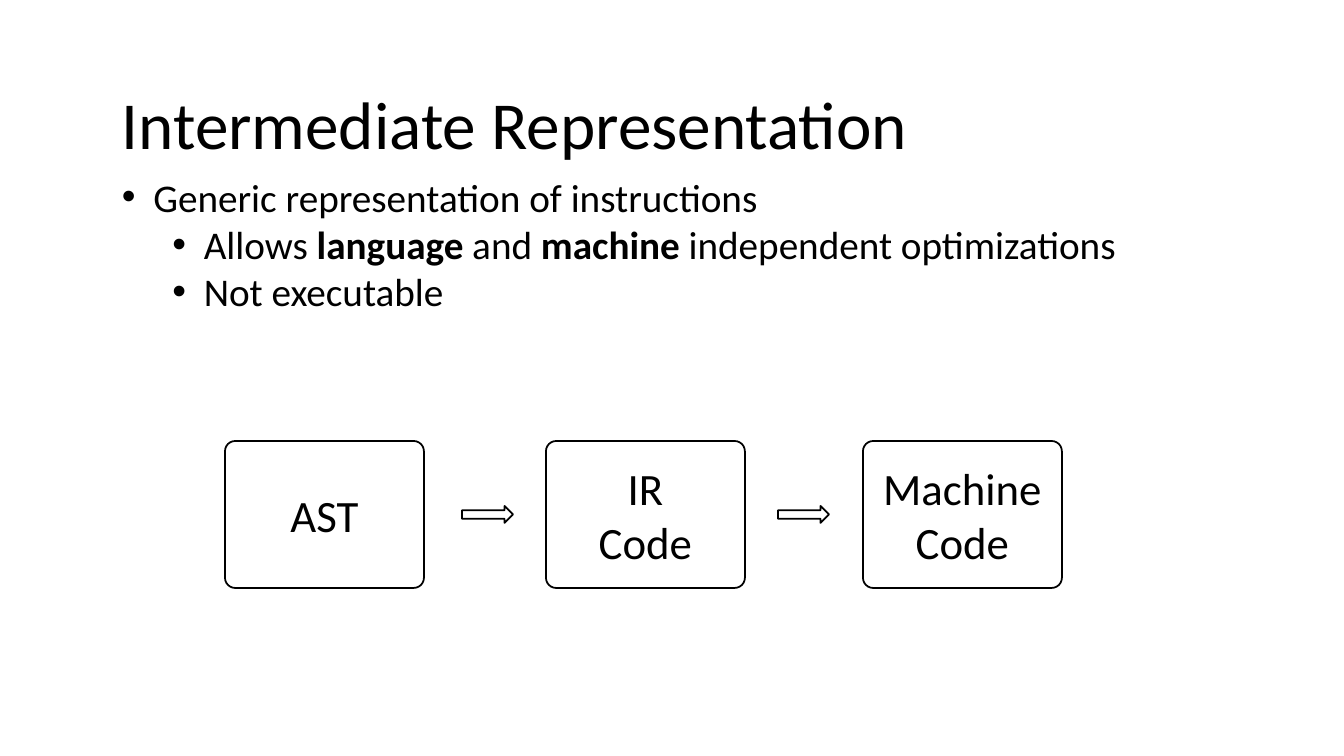
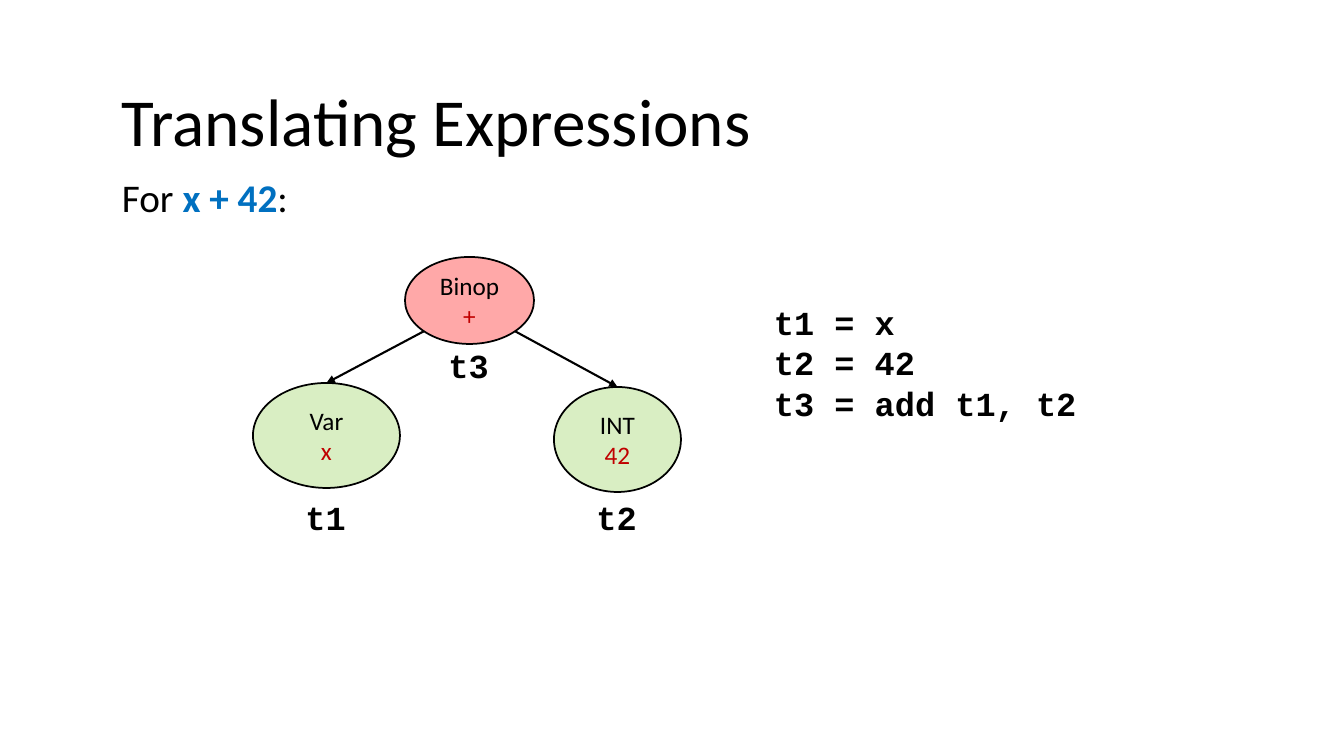
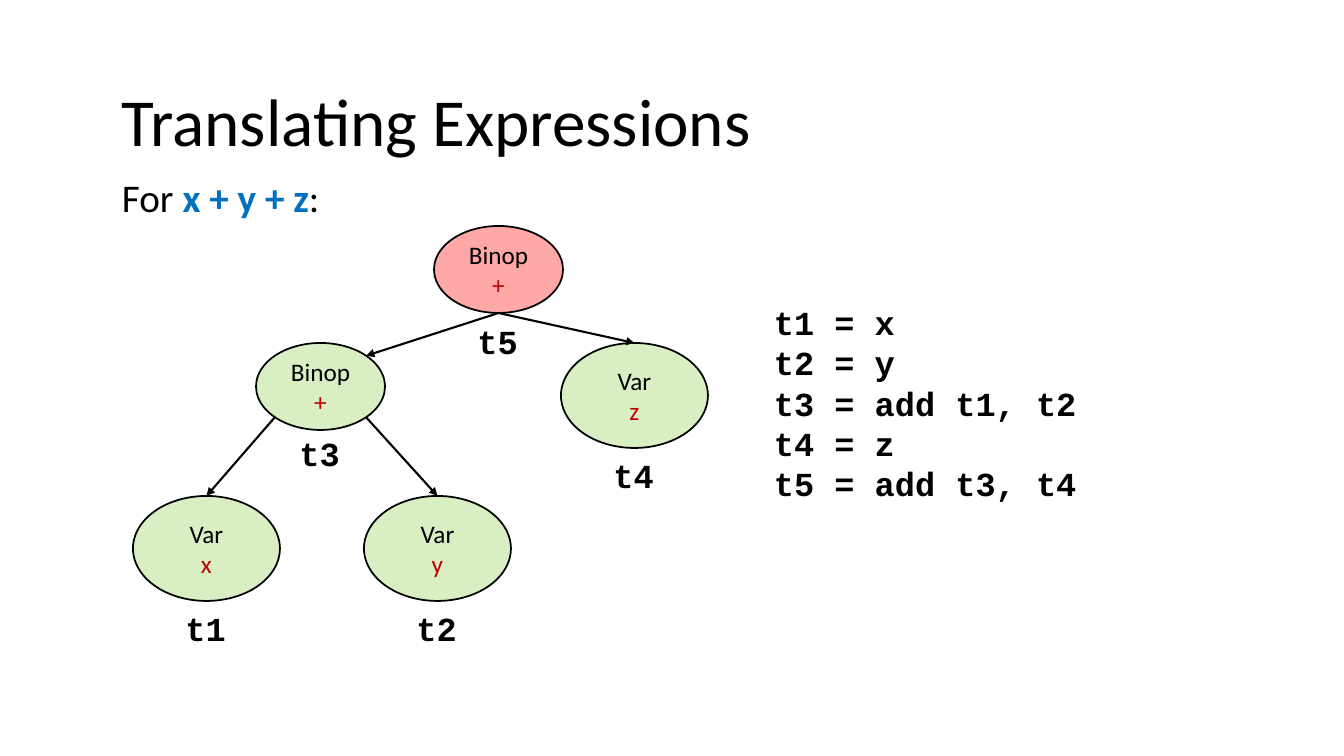
from math import cos, radians, sin

from pptx import Presentation
from pptx.dml.color import RGBColor
from pptx.enum.shapes import MSO_CONNECTOR, MSO_SHAPE
from pptx.enum.text import MSO_ANCHOR, MSO_AUTO_SIZE, PP_ALIGN
from pptx.oxml.ns import qn
from pptx.util import Emu, Pt
from lxml.etree import SubElement

BLACK = RGBColor(0x00, 0x00, 0x00)
WHITE = RGBColor(0xFF, 0xFF, 0xFF)
RED = RGBColor(0xFF, 0x00, 0x00)
GREEN = RGBColor(0x92, 0xD0, 0x50)
BLUE = RGBColor(0x00, 0x70, 0xC0)
DARK_RED = RGBColor(0xC0, 0x00, 0x00)

# Text formats
TITLE = {"name": "Calibri", "size": Pt(48)}
BODY = {"name": "Calibri", "size": Pt(28)}
STAGE = {"name": "Calibri", "size": Pt(32)}
NODE = {"name": "Calibri", "size": Pt(18)}
CODE = {"name": "Courier New", "size": Pt(24), "bold": True}
STRONG = {"bold": True}

# Places on an ellipse, as clockwise angles from its right side
BOTTOM_RIGHT, BOTTOM, BOTTOM_LEFT, TOP, TOP_RIGHT = 45, 90, 135, 270, 315


def px(length):
    return Emu(round(length * 914400 / 100.8))


def rim(node, angle):
    left, top, width, height = node
    return (left + width / 2 * (1 + cos(radians(angle))),
            top + height / 2 * (1 + sin(radians(angle))))


class Deck:
    def __init__(self):
        self.prs = Presentation()
        self.prs.slide_width, self.prs.slide_height = px(1344), px(756)
        self.slide = None

    def new_slide(self, title, title_top):
        self.slide = self.prs.slides.add_slide(self.prs.slide_layouts[6])
        self.text((112, title_top, 1118, 92), [title], TITLE)

    def set_text(self, frame, paragraphs, style, align=PP_ALIGN.LEFT):
        """Each paragraph is a string or a list of (text, format) runs."""
        frame.word_wrap = True
        for index, runs in enumerate(paragraphs):
            line = frame.add_paragraph() if index else frame.paragraphs[0]
            line.alignment = align
            for words, extra in [(runs, {})] if isinstance(runs, str) else runs:
                run = line.add_run()
                run.text = words
                values = {**style, **extra}
                run.font.color.rgb = values.pop("color", BLACK)
                for key, value in values.items():
                    setattr(run.font, key, value)

    def text(self, box, paragraphs, style):
        frame = self.slide.shapes.add_textbox(*map(px, box)).text_frame
        self.set_text(frame, paragraphs, style)
        frame.auto_size = MSO_AUTO_SIZE.SHAPE_TO_FIT_TEXT
        return frame

    def bullets(self, box, items):
        frame = self.text(box, [runs for _, runs in items], BODY)
        for line, (level, _) in zip(frame.paragraphs, items):
            line.level = level
            props = line._p.get_or_add_pPr()
            props.set("marL", str(px(31.5 + 50.4 * level)))
            props.set("indent", str(px(-31.5)))
            SubElement(props, qn("a:buFont")).set("typeface", "Arial")
            SubElement(props, qn("a:buChar")).set("char", "•")

    def shape(self, kind, box, fill=WHITE, paragraphs=(), style=None, opacity=None):
        shape = self.slide.shapes.add_shape(kind, *map(px, box))
        shape.shadow.inherit = False
        shape.fill.solid()
        shape.fill.fore_color.rgb = fill
        if opacity:
            color = shape._element.spPr.find(qn("a:solidFill"))[0]
            SubElement(color, qn("a:alpha")).set("val", str(opacity * 1000))
        shape.line.color.rgb = BLACK
        shape.line.width = Pt(1.25)
        shape.text_frame.vertical_anchor = MSO_ANCHOR.MIDDLE
        self.set_text(shape.text_frame, paragraphs, style, PP_ALIGN.CENTER)
        return shape

    def node(self, box, kind, value, register, drop, fill=GREEN):
        """A tree node with its register name below it."""
        self.shape(MSO_SHAPE.OVAL, box, fill,
                   [kind, [(value, {"color": DARK_RED})]], NODE, opacity=34)
        left, top, width, height = box
        self.text((left + width / 2 - 31, top + height + drop, 74, 50),
                  [register], CODE)
        return box

    def edge(self, parent, parent_side, child, child_side=TOP):
        ends = rim(parent, parent_side) + rim(child, child_side)
        edge = self.slide.shapes.add_connector(MSO_CONNECTOR.STRAIGHT, *map(px, ends))
        edge.line.color.rgb = BLACK
        edge.line.width = Pt(1.5)
        props = edge._element.spPr
        SubElement(props.find(qn("a:ln")), qn("a:tailEnd")).set("type", "triangle")
        SubElement(props, qn("a:effectLst"))

    def translation(self, expression, code):
        """The frame of a slide that turns an expression into code."""
        self.new_slide("Translating Expressions", 74)
        self.text((112, 168, 1174, 57),
                  [[("For ", {}), (expression, {"color": BLUE, "bold": True}),
                    (":", {})]], BODY)
        self.text((764, 297, 521, 10 + 41 * len(code)), code, CODE)


deck = Deck()

# Slide 1: stages from tree to machine code
deck.new_slide("Intermediate Representation", 77)
deck.bullets((112, 168, 1136, 152), [
    (0, "Generic representation of instructions"),
    (1, [("Allows ", {}), ("language", STRONG), (" and ", {}),
         ("machine", STRONG), (" independent optimizations", {})]),
    (1, "Not executable"),
])
for left, words in ((225, ["AST"]), (546, ["IR", "Code"]), (863, ["Machine", "Code"])):
    stage = deck.shape(MSO_SHAPE.ROUNDED_RECTANGLE, (left, 441, 199, 147),
                       paragraphs=words, style=STAGE)
    stage.adjustments[0] = 0.07
for left in (462, 778):
    deck.shape(MSO_SHAPE.RIGHT_ARROW, (left, 506, 51, 17))

# Slide 2: one addition
deck.translation("x + 42", ["t1 = x", "t2 = 42", "t3 = add t1, t2"])
total = deck.node((405, 257, 129, 87), "Binop", "+", "t3", -4, RED)
var_x = deck.node((253, 383, 147, 105), "Var", "x", "t1", 4)
int_42 = deck.node((554, 387, 127, 105), "INT", "42", "t2", 0)
deck.edge(total, BOTTOM_LEFT, var_x)
deck.edge(total, BOTTOM_RIGHT, int_42)

# Slide 3: nested additions
deck.translation("x + y + z", ["t1 = x", "t2 = y", "t3 = add t1, t2",
                               "t4 = z", "t5 = add t3, t4"])
total = deck.node((434, 226, 129, 87), "Binop", "+", "t5", 3, RED)
partial = deck.node((256, 343, 129, 87), "Binop", "+", "t3", -2)
var_x = deck.node((133, 496, 147, 105), "Var", "x", "t1", 2)
var_y = deck.node((364, 496, 147, 105), "Var", "y", "t2", 2)
var_z = deck.node((561, 343, 147, 105), "Var", "z", "t4", 2)
deck.edge(total, BOTTOM, partial, TOP_RIGHT)
deck.edge(total, BOTTOM, var_z)
deck.edge(partial, BOTTOM_LEFT, var_x)
deck.edge(partial, BOTTOM_RIGHT, var_y)

deck.prs.save("out.pptx")
